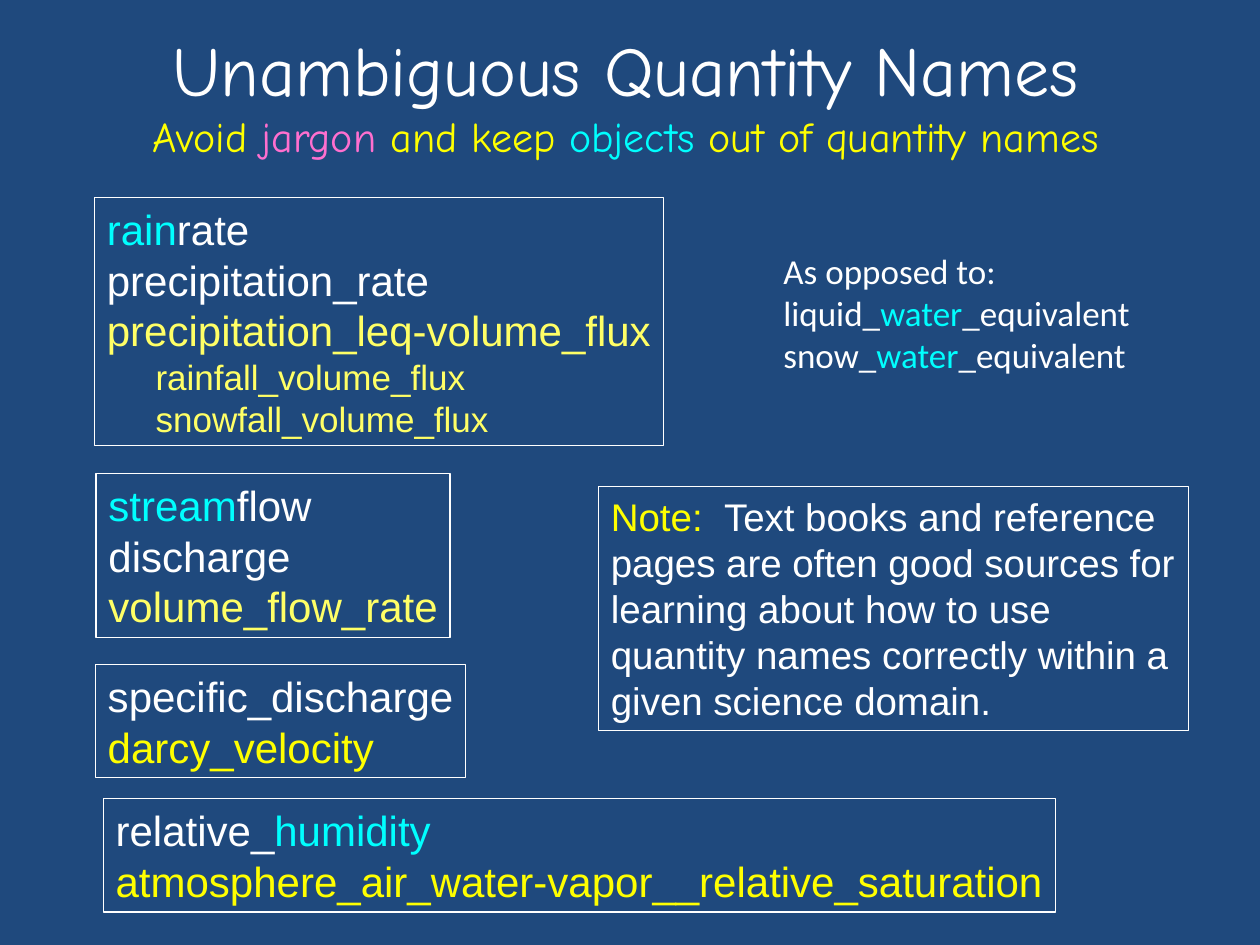
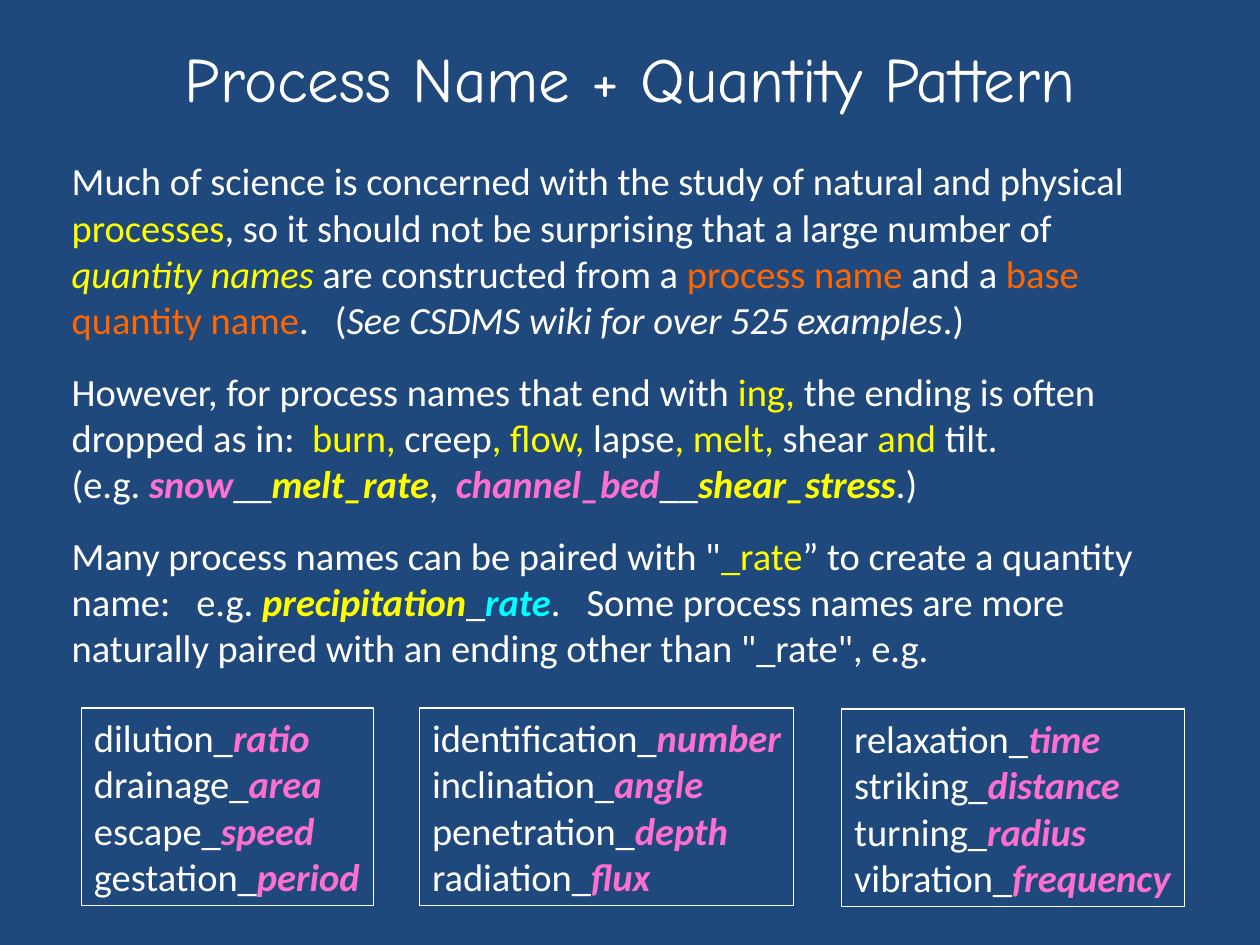
from pptx import Presentation
from pptx.dml.color import RGBColor
from pptx.enum.text import MSO_ANCHOR as Anchor, MSO_AUTO_SIZE as AutoSize, PP_ALIGN as Align
from pptx.util import Pt

NAVY = RGBColor(0x1F, 0x49, 0x7D)
WHITE = RGBColor(0xFF, 0xFF, 0xFF)
YELLOW = RGBColor(0xFF, 0xFF, 0x00)
PALE_YELLOW = RGBColor(0xFF, 0xFF, 0x66)
CYAN = RGBColor(0x00, 0xFF, 0xFF)
PINK = RGBColor(0xFF, 0x6F, 0xCF)
ORANGE = RGBColor(0xFF, 0x66, 0x00)
TITLE_FONT, NAME_FONT, TEXT_FONT = "Comic Neue", "Arial", "Calibri"


def write(box, lines, font, size):
    frame = box.text_frame
    for index, line in enumerate(lines):
        para = frame.paragraphs[0] if index == 0 else frame.add_paragraph()
        para.space_before = Pt(0)
        for text, color, *emphasis in line:
            span = para.add_run()
            span.text = text
            span.font.name = font
            span.font.size = Pt(size)
            span.font.color.rgb = color
            span.font.bold = "bold" in emphasis
            span.font.italic = "italic" in emphasis
    frame.auto_size = AutoSize.NONE
    return frame


def place(box, left, top, width, height):
    box.left, box.top, box.width, box.height = Pt(left), Pt(top), Pt(width), Pt(height)


deck = Presentation()
deck.slide_width, deck.slide_height = Pt(720), Pt(540)
master_fill = deck.slide_master.background.fill
master_fill.solid()
master_fill.fore_color.rgb = NAVY

names_page = deck.slides.add_slide(deck.slide_layouts[5])
process_page = deck.slides.add_slide(deck.slide_layouts[1])

titles = [
    (names_page, (47.5, 4.3, 620, 98.6), 40, [
        [("Unambiguous Quantity Names", WHITE)],
        [("Avoid ", YELLOW), ("jargon", PINK), (" and keep ", YELLOW),
         ("objects", CYAN), (" out of quantity names", YELLOW)],
    ]),
    (process_page, (36, 16.6, 648, 55.4), 36, [[("Process Name + Quantity Pattern", WHITE)]]),
]
for page, area, size, lines in titles:
    place(page.shapes.title, *area)
    frame = write(page.shapes.title, lines, TITLE_FONT, size)
    frame.vertical_anchor = Anchor.MIDDLE
    for para in frame.paragraphs:
        para.alignment = Align.CENTER
for span in names_page.shapes.title.text_frame.paragraphs[1].runs:
    span.font.size = Pt(24)

body = process_page.placeholders[1]
place(body, 33.8, 86.4, 650, 300)
frame = write(body, [
    [("Much of science is concerned with the study of natural and physical ", WHITE),
     ("processes", YELLOW),
     (", so it should not be surprising that a large number of ", WHITE),
     ("quantity names ", YELLOW, "italic"),
     ("are constructed from a ", WHITE), ("process name ", ORANGE),
     ("and a ", WHITE), ("base quantity name", ORANGE), (".   (", WHITE),
     ("See CSDMS wiki for over 525 examples", WHITE, "italic"), (".)", WHITE)],
    [("However, for process names that end with", WHITE), (" ing,", YELLOW),
     (" the ending is often dropped as in:  ", WHITE), ("burn, ", YELLOW),
     ("creep", WHITE), (", flow, ", YELLOW), ("lapse", WHITE),
     (", melt, ", YELLOW), ("shear", WHITE), (" and ", YELLOW), ("tilt.", WHITE)],
    [("(e.g. ", WHITE), ("snow", PINK, "bold", "italic"), ("__", WHITE),
     ("melt_rate", YELLOW, "bold", "italic"), (",  ", WHITE),
     ("channel_bed", PINK, "bold", "italic"), ("__", WHITE),
     ("shear_stress", YELLOW, "bold", "italic"), (".)", WHITE)],
    [("Many process names can be paired with \"", WHITE), ("_rate", YELLOW),
     ("” to create a quantity name:   e.g. ", WHITE),
     ("precipitation", YELLOW, "bold", "italic"), ("_", WHITE),
     ("rate", CYAN, "bold", "italic"),
     (".   Some process names are more naturally paired with an ending other than \"_rate\", e.g.",
      WHITE)],
], TEXT_FONT, 22)
for para in frame.paragraphs:
    properties = para._p.get_or_add_pPr()
    properties.set("marL", "0")
    properties.set("indent", "0")
    properties.insert_element_before(properties.makeelement(
        "{http://schemas.openxmlformats.org/drawingml/2006/main}buNone", {}), "a:tabLst", "a:defRPr")
for index in (1, 3):
    frame.paragraphs[index].space_before = Pt(14.6)

text_boxes = [
    (names_page, (54, 113, 325, 141.8), NAME_FONT, 24, [
        [("rain", CYAN), ("rate", WHITE)],
        [("precipitation_rate", WHITE)],
        [("precipitation_leq-volume_flux", PALE_YELLOW)],
        [("rainfall_volume_flux", PALE_YELLOW)],
        [("snowfall_volume_flux", PALE_YELLOW)],
    ]),
    (names_page, (54.9, 270.7, 202.3, 93.6), NAME_FONT, 24, [
        [("stream", CYAN), ("flow", WHITE)],
        [("discharge", WHITE)],
        [("volume_flow_rate", PALE_YELLOW)],
    ]),
    (names_page, (54.5, 379.7, 211.7, 64.8), NAME_FONT, 24, [
        [("specific_discharge", WHITE)],
        [("darcy_velocity", YELLOW)],
    ]),
    (names_page, (342, 278, 337, 139.7), NAME_FONT, 22, [
        [("Note:  ", YELLOW),
         ("Text books and reference pages are often good sources for learning about how to use", WHITE)],
        [("quantity names correctly within a given science domain.", WHITE)],
    ]),
    (names_page, (59, 456.4, 544, 64.8), NAME_FONT, 24, [
        [("relative_", WHITE), ("humidity", CYAN)],
        [("atmosphere_air_water-vapor__relative_saturation", YELLOW)],
    ]),
    (names_page, (440.6, 139, 213, 79.2), TEXT_FONT, 20, [
        [("As opposed to:", WHITE)],
        [("liquid_", WHITE), ("water", CYAN), ("_equivalent", WHITE)],
        [("snow_", WHITE), ("water", CYAN), ("_equivalent", WHITE)],
    ]),
]

pair_columns = [
    ((46.6, 404.6, 167, 113), "dilution_ratio drainage_area escape_speed gestation_period"),
    ((239.8, 404.6, 213.8, 113),
     "identification_number inclination_angle penetration_depth radiation_flux"),
    ((481, 405.2, 195.8, 113),
     "relaxation_time striking_distance turning_radius vibration_frequency"),
]
for area, names in pair_columns:
    pairs = [name.split("_") for name in names.split()]
    lines = [[(process + "_", WHITE), (quantity, PINK, "bold", "italic")]
             for process, quantity in pairs]
    text_boxes.append((process_page, area, TEXT_FONT, 22, lines))

for page, area, font, size, lines in text_boxes:
    box = page.shapes.add_textbox(*map(Pt, area))
    frame = write(box, lines, font, size)
    frame.word_wrap = True
    opening = lines[0][0][0]
    if not opening.startswith("Note"):
        frame.margin_right = Pt(0)
    if opening != "As opposed to:":
        box.line.color.rgb = WHITE
        box.line.width = Pt(0.75)
    if opening == "rain":
        for para in frame.paragraphs[3:]:
            para._p.get_or_add_pPr().set("marL", str(Pt(27.8)))
            para.runs[0].font.size = Pt(20)

deck.save("out.pptx")
